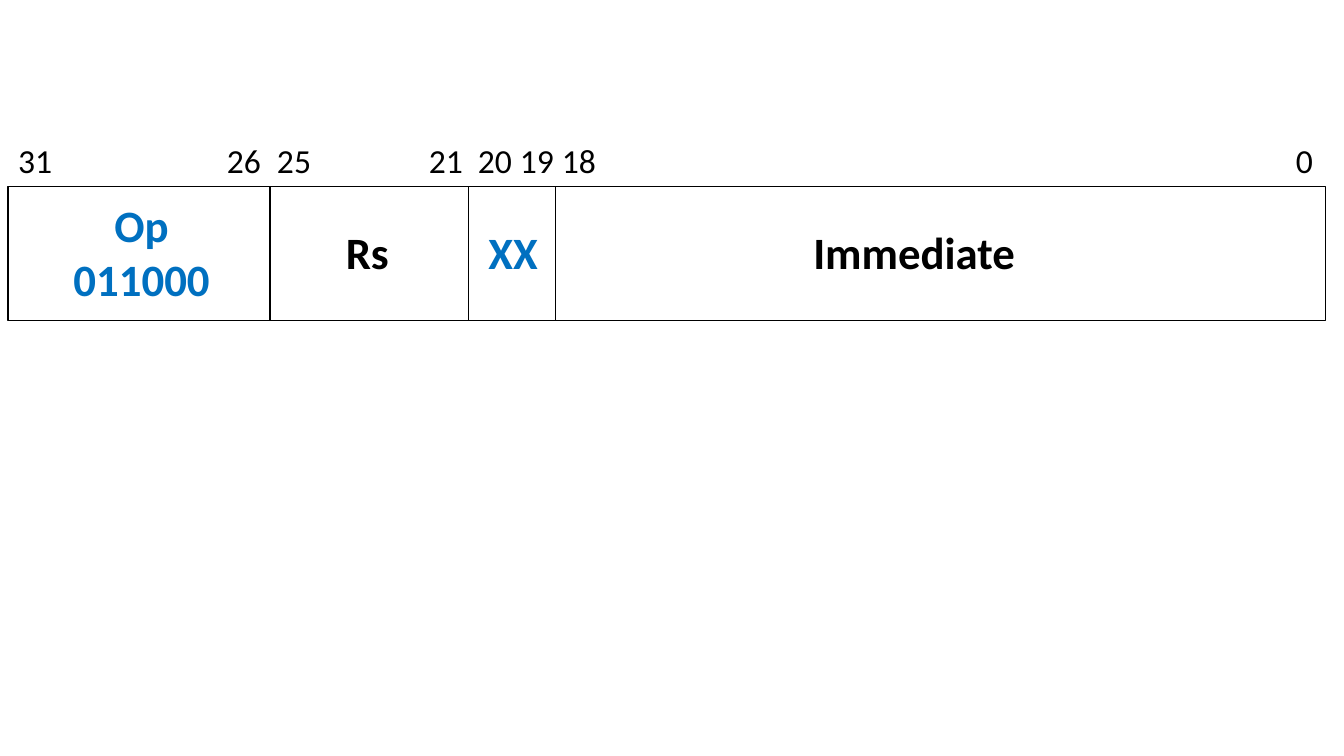
from itertools import accumulate

from lxml import etree
from pptx import Presentation
from pptx import util as u
from pptx.dml.color import RGBColor
from pptx.enum import shapes, text
from pptx.oxml.ns import qn

BLACK = RGBColor(0x00, 0x00, 0x00)
BLUE = RGBColor(0x00, 0x70, 0xC0)
FONT = "Calibri"


class Diagram:
    """Style and current slide of the instruction format."""

    def __init__(self, slide):
        self.shapes = slide.shapes

    def field(self, left, top, width, height):
        outline = self.shapes.add_shape(
            shapes.MSO_SHAPE.RECTANGLE, *map(u.Pt, (left, top, width, height)))
        outline.shadow.inherit = False
        outline.fill.background()
        outline.line.color.rgb = BLACK
        outline.line.width = u.Pt(1)

    def label(self, words, left, top, width, height, size, color=BLACK,
              bold=False, align=text.PP_ALIGN.LEFT, wrap=False):
        box = self.shapes.add_textbox(*map(u.Pt, (left, top, width, height)))
        frame = box.text_frame
        frame.text = words
        frame.word_wrap = wrap
        frame.auto_size = text.MSO_AUTO_SIZE.SHAPE_TO_FIT_TEXT
        for paragraph in frame.paragraphs:
            paragraph.alignment = align
            for run in paragraph.runs:
                run.font.name = FONT
                run.font.size = u.Pt(size)
                run.font.bold = bold
                run.font.color.rgb = color
        return frame

    def tabbed_line(self, words, stops, left, top, width, height, size):
        frame = self.label("\t".join(words), left, top, width, height, size, wrap=True)
        properties = frame.paragraphs[0]._p.get_or_add_pPr()
        tabs = etree.SubElement(properties, qn("a:tabLst"))
        for stop in stops:
            etree.SubElement(tabs, qn("a:tab"), pos=str(u.Pt(stop)), algn="l")


deck = Presentation()
deck.slide_width, deck.slide_height = u.Pt(960), u.Pt(540)
diagram = Diagram(deck.slides.add_slide(deck.slide_layouts[6]))

# Instruction fields: name, field width, centre of the name, name width, colour
LEFT, TOP, HEIGHT = 5.8, 133.2, 95.8
FIELDS = [
    ("Op\n011000", 187.2, 101.2, 113, BLUE),
    ("Rs", 141.8, 262.4, 45.4, BLACK),
    ("XX", 62, 366.5, 50.4, BLUE),
    ("Immediate", 550, 653, 159.8, BLACK),
]
widths = [field[1] for field in FIELDS]
edges = list(accumulate(widths, initial=LEFT))
for edge, width in zip(edges, widths):
    diagram.field(edge, TOP, width, HEIGHT)

# Field names, centred on the height of the row
MIDDLE, LINE_HEIGHT, INSETS = 180.3, 39, 7.2
for name, _, centre, width, color in FIELDS:
    height = LINE_HEIGHT * len(name.split("\n")) + INSETS
    diagram.label(name, centre - width / 2, MIDDLE - height / 2, width, height,
                  32, color, bold=True, align=text.PP_ALIGN.CENTER)

# Bit numbers above the row
BITS = ["31", "26", "25", "21", "20", "19", "18", "0"]
STOPS = [149.2, 185, 293.5, 328.5, 358.5, 388.5, 912.7]
diagram.tabbed_line(BITS, STOPS, LEFT, 96.5, sum(widths), 36, 24)

deck.save("out.pptx")
